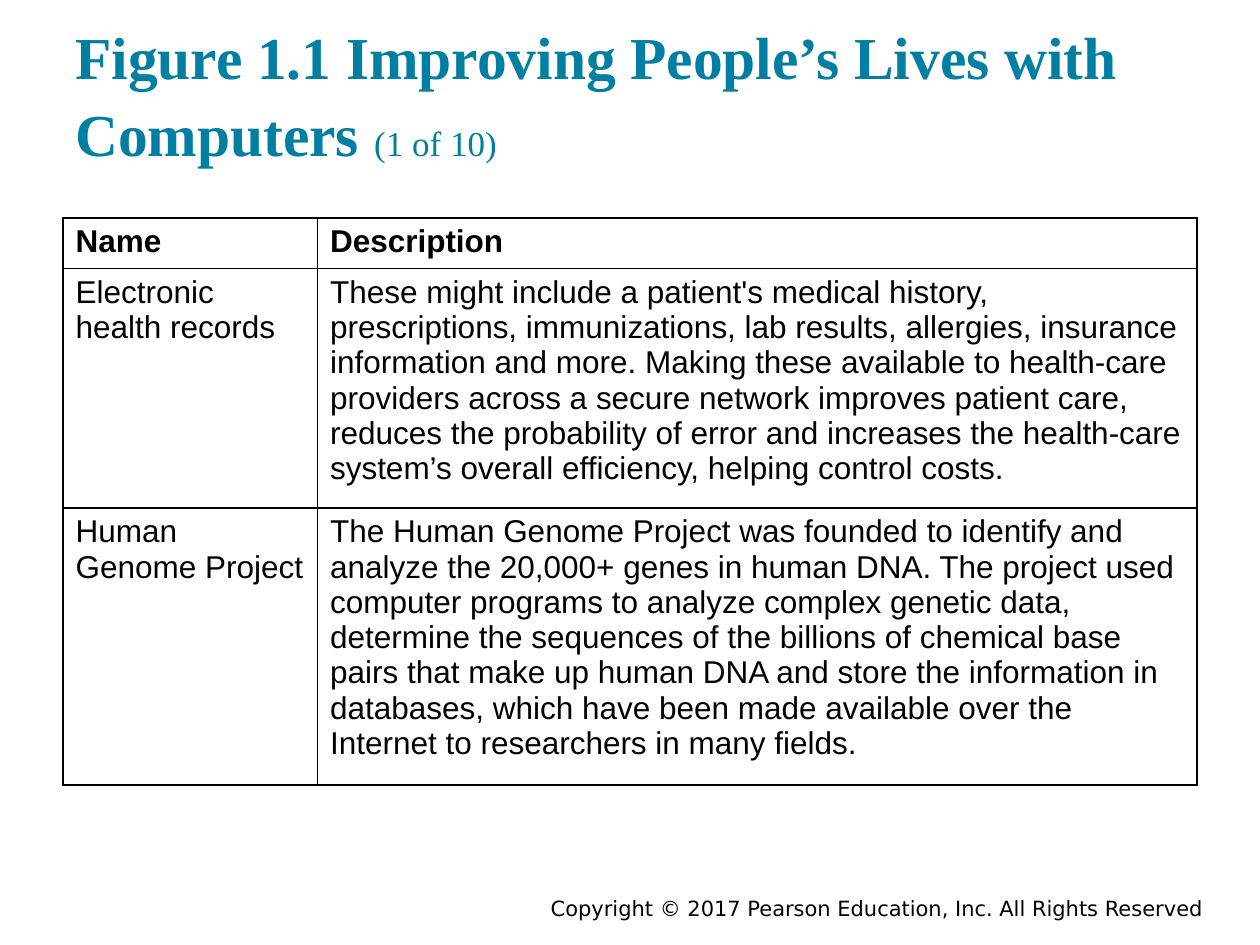
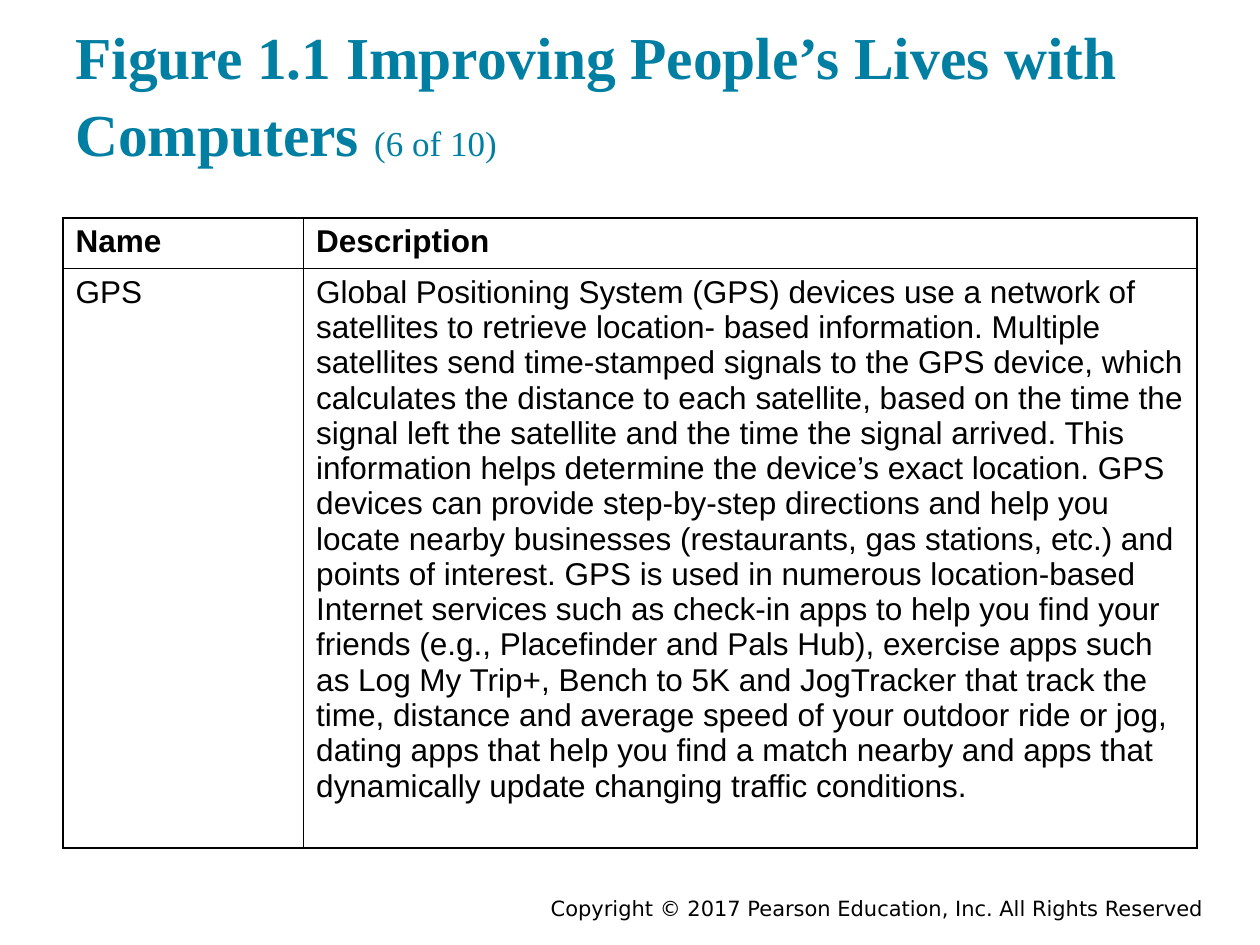
from dataclasses import dataclass

from lxml.etree import SubElement
from pptx import Presentation
from pptx.dml.color import RGBColor
from pptx.enum.text import MSO_ANCHOR, PP_ALIGN
from pptx.oxml import parse_xml
from pptx.oxml.ns import nsdecls, qn
from pptx.util import Inches, Pt

TEAL = RGBColor(0x00, 0x7F, 0xA3)
BLACK = RGBColor(0x00, 0x00, 0x00)
WHITE = RGBColor(0xFF, 0xFF, 0xFF)

COLUMN = Inches(0.1)
ROW = Inches(0.05)
LINE_ROWS = 5.59
CELL_MARGIN_ROWS = 1

TITLE = "Figure 1.1 Improving People’s Lives with Computers "
COPYRIGHT = "Copyright © 2017 Pearson Education, Inc. All Rights Reserved"
HEADER = ("Name", "Description", 1)


@dataclass
class Box:
    """A place on the page in grid columns and rows."""

    column: float
    row: float
    columns: float
    rows: float

    def lengths(self):
        """Return left, top, width and height."""
        return (int(self.column * COLUMN), int(self.row * ROW),
                int(self.columns * COLUMN), int(self.rows * ROW))


TITLE_BOX = Box(5, 4.8, 90, 24)
TABLE_BOX = Box(5, 34.6, 90, 90)
FOOTER_BOX = Box(30, 141.6, 66.5, 5)

RECORDS = (
    "Electronic health records",
    "These might include a patient's medical history, prescriptions, "
    "immunizations, lab results, allergies, insurance information and more. "
    "Making these available to health-care providers across a secure network "
    "improves patient care, reduces the probability of error and increases "
    "the health-care system’s overall efficiency, helping control costs.",
    6,
)
GENOME = (
    "Human Genome Project",
    "The Human Genome Project was founded to identify and analyze the 20,000+ "
    "genes in human DNA. The project used computer programs to analyze complex "
    "genetic data, determine the sequences of the billions of chemical base "
    "pairs that make up human DNA and store the information in databases, which "
    "have been made available over the Internet to researchers in many fields.",
    7,
)
GPS_SIGNALS = (
    "Global Positioning System (GPS) devices use a network of satellites to "
    "retrieve location- based information. Multiple satellites send time-stamped "
    "signals to the GPS device, which calculates the distance to each satellite, "
    "based on the time the signal left the satellite and the time the signal "
    "arrived. This information helps determine the device’s exact location."
)
GPS_SERVICES = (
    "GPS devices can provide step-by-step directions and help you locate nearby "
    "businesses (restaurants, gas stations, etc.) and points of interest. GPS is "
    "used in numerous location-based Internet services such as check-in apps to "
    "help you find your friends (e.g., Placefinder and Pals Hub), exercise apps "
    "such as Log My Trip+, Bench to 5K and JogTracker that track the time, "
    "distance and average speed of your outdoor ride or jog, dating apps that "
    "help you find a match nearby and apps that dynamically update changing "
    "traffic conditions."
)
GPS = ("GPS", " ".join((GPS_SIGNALS, GPS_SERVICES)), 15)


def style_font(font, name, size, color, bold=False):
    """Set the typeface, size, colour and weight of a font."""
    font.name, font.size, font.bold = name, Pt(size), bold
    font.color.rgb = color


def add_text_frame(page, box, anchor):
    """Add a wrapping text box and return its text frame."""
    frame = page.shapes.add_textbox(*box.lengths()).text_frame
    frame.word_wrap = True
    frame.vertical_anchor = anchor
    return frame


def add_title(page, box, counter):
    """Place the figure title followed by its small counter."""
    frame = add_text_frame(page, box, MSO_ANCHOR.BOTTOM)
    frame.margin_top = frame.margin_bottom = Inches(0.1)
    para = frame.paragraphs[0]
    para.line_spacing = 1.09
    for text, size, bold in ((TITLE, 34, True), (counter, 20, False)):
        span = para.add_run()
        span.text = text
        style_font(span.font, "Times New Roman", size, TEAL, bold)


def add_footer(page, box):
    """Place the right-aligned copyright line."""
    para = add_text_frame(page, box, MSO_ANCHOR.MIDDLE).paragraphs[0]
    para.text = COPYRIGHT
    para.alignment = PP_ALIGN.RIGHT
    style_font(para.font, "DejaVu Sans", 12, BLACK)


def add_borders(cell):
    """Draw a thin black line on each side of a cell."""
    properties = cell._tc.get_or_add_tcPr()
    for index, side in enumerate(("lnL", "lnR", "lnT", "lnB")):
        line = parse_xml(f'<a:{side} {nsdecls("a")} w="{Pt(1)}"/>')
        fill = SubElement(line, qn("a:solidFill"))
        SubElement(fill, qn("a:srgbClr"), val=str(BLACK))
        properties.insert(index, line)


def add_description_table(page, box, name_columns, entries):
    """Place a name and description table with rows sized by line count."""
    entries = (HEADER, *entries)
    heights = [lines * LINE_ROWS + 2 * CELL_MARGIN_ROWS for *_, lines in entries]
    box = Box(box.column, box.row, box.columns, sum(heights))
    table = page.shapes.add_table(len(entries), 2, *box.lengths()).table
    table.first_row = table.horz_banding = False
    for column, width in zip(table.columns, (name_columns, box.columns - name_columns)):
        column.width = int(width * COLUMN)
    for index, (*texts, _) in enumerate(entries):
        table.rows[index].height = int(heights[index] * ROW)
        for cell, text in zip(table.rows[index].cells, texts):
            cell.text = text
            cell.fill.solid()
            cell.fill.fore_color.rgb = WHITE
            style_font(cell.text_frame.paragraphs[0].font, "Arial", 18, BLACK, index == 0)
            add_borders(cell)


def add_figure_page(deck, counter, name_columns, entries):
    """Add one page of the figure with title, table and footer."""
    page = deck.slides.add_slide(deck.slide_layouts[6])
    add_footer(page, FOOTER_BOX)
    add_title(page, TITLE_BOX, counter)
    add_description_table(page, TABLE_BOX, name_columns, entries)


def main():
    """Build and save the deck."""
    deck = Presentation()
    deck.slide_width, deck.slide_height = 100 * COLUMN, 150 * ROW
    add_figure_page(deck, "(1 of 10)", 20.2, (RECORDS, GENOME))
    add_figure_page(deck, "(6 of 10)", 19.1, (GPS,))
    deck.save("out.pptx")


if __name__ == "__main__":
    main()
